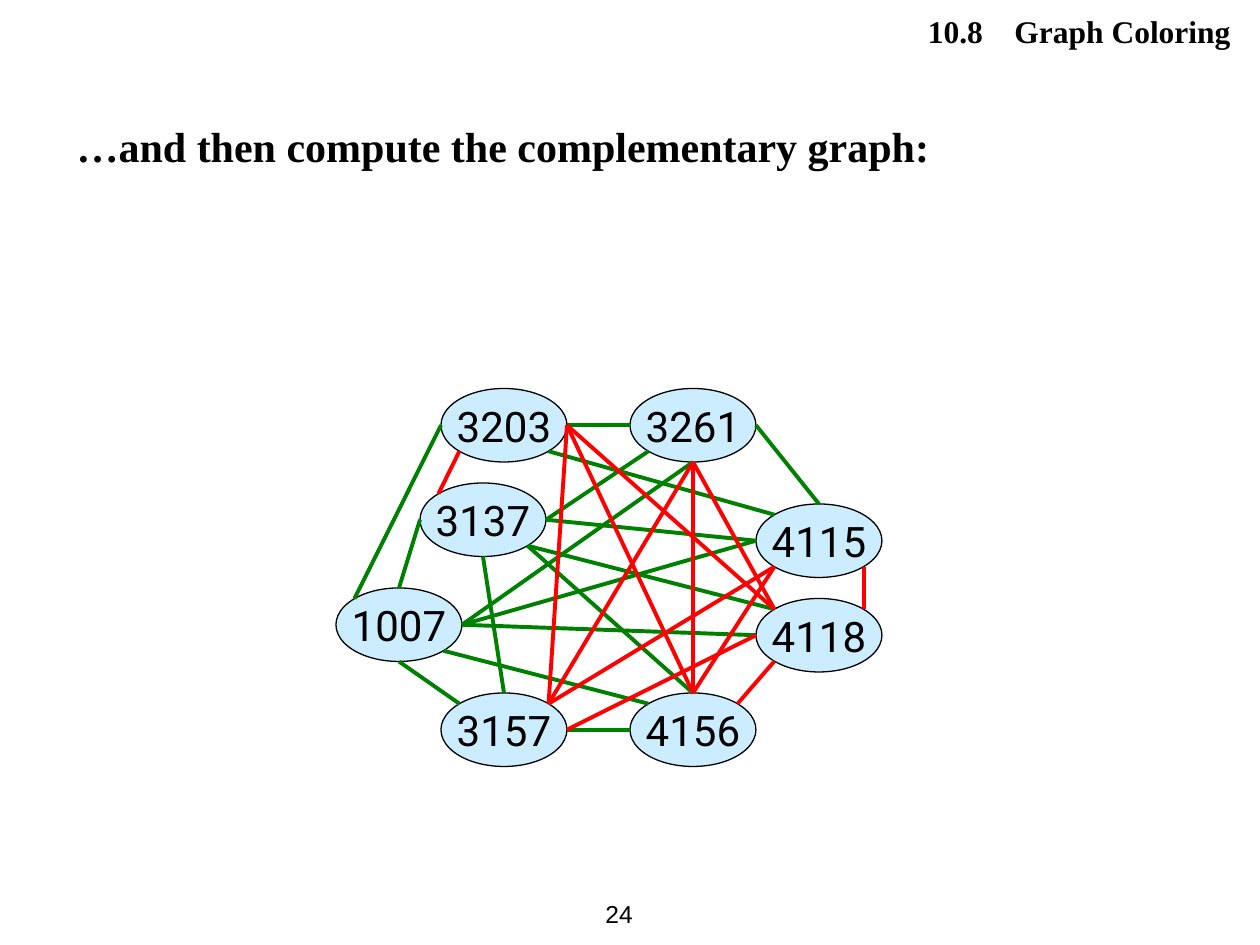
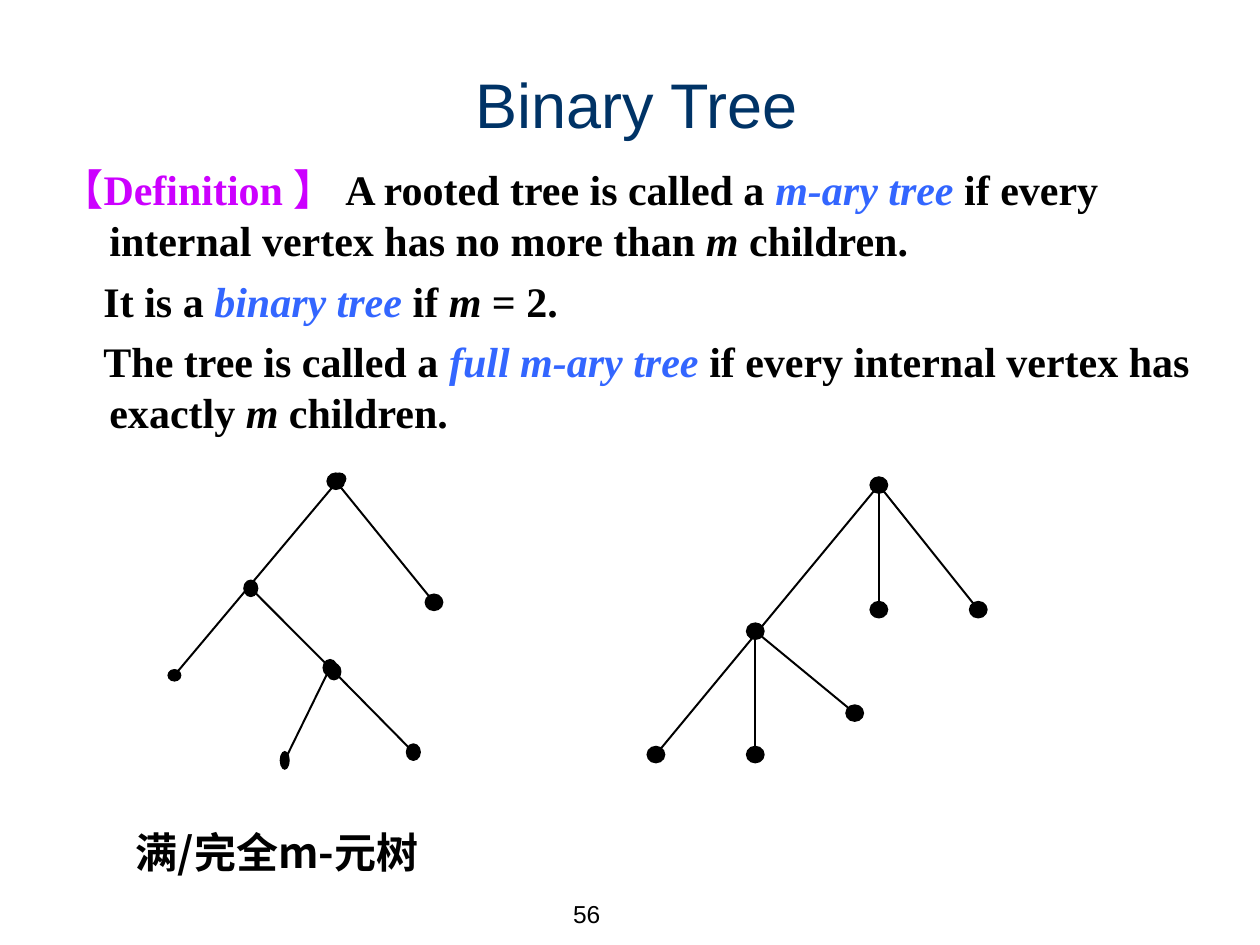
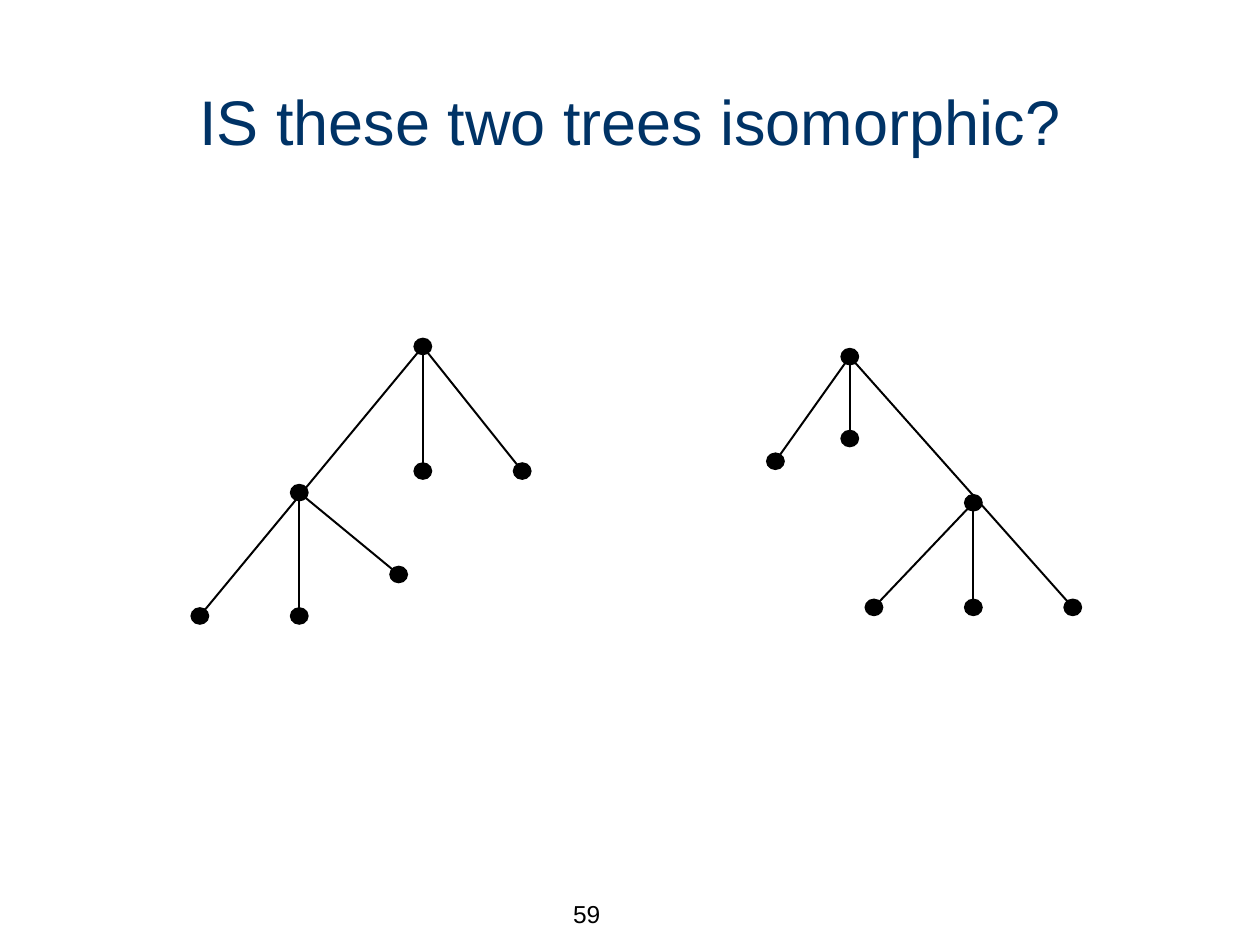
from typing import NamedTuple

from lxml.etree import SubElement
from pptx import Presentation
from pptx.dml.color import RGBColor
from pptx.enum.shapes import MSO_CONNECTOR, MSO_SHAPE
from pptx.enum.text import MSO_ANCHOR, PP_ALIGN
from pptx.oxml.ns import qn
from pptx.util import Pt

BLACK = "000000"
NAVY = "003366"
MAGENTA = "CC00FF"
BLUE = "3366FF"
PALE_BLUE = "CCECFF"
GREEN = "008000"
RED = "FF0000"

SANS = "Arial"
SERIF = "Times New Roman"
NODE_FONT = "Roboto"
CHINESE = "Noto Sans CJK SC"


class Area(NamedTuple):
    left: float
    top: float
    width: float
    height: float


class Style(NamedTuple):
    font: str
    size: float
    color: str = BLACK
    bold: bool = False
    italic: bool = False


class Span(NamedTuple):
    text: str
    style: Style


class Dot(NamedTuple):
    """A tree vertex, its centre measured from the root of the tree."""
    x: float
    y: float
    width: float = 10.8
    height: float = 10.08


class Tree(NamedTuple):
    dots: dict[str, Dot]
    edges: list[tuple[str, str]]


NUMBER = Style(SANS, 14)
TITLE = Style(SANS, 36, NAVY)
NODE = Style(NODE_FONT, 24)
SECTION = Style(SERIF, 18, bold=True)
BODY = Style(SERIF, 24, bold=True)
LABEL = BODY._replace(color=MAGENTA)
VARIABLE = BODY._replace(italic=True)
TERM = VARIABLE._replace(color=BLUE)
CHINESE_NOTE = Style(CHINESE, 24, bold=True)

NODE_WIDTH, NODE_HEIGHT = 72, 42
DIAGONAL = 0.5 ** 0.5
COMPASS = {
    "N": (0, -1), "S": (0, 1), "W": (-1, 0), "E": (1, 0),
    "NW": (-DIAGONAL, -DIAGONAL), "NE": (DIAGONAL, -DIAGONAL),
    "SW": (-DIAGONAL, DIAGONAL), "SE": (DIAGONAL, DIAGONAL),
}
COURSE_CENTRES = {
    "1007": (228, 357), "3137": (276, 297), "3157": (288, 417), "3203": (288, 243),
    "4115": (468, 309), "3261": (396, 243), "4156": (396, 417), "4118": (468, 363),
}
COURSE_EDGES = {
    GREEN: [
        "1007 N 3137 W", "3157 NW 1007 S", "1007 NW 3203 W", "1007 E 3261 S",
        "3137 E 3261 SW", "3203 E 3261 W", "3157 N 3137 S", "4156 W 3157 E",
        "4156 NW 1007 SE", "4156 N 3137 SE", "3261 E 4115 N", "3203 SE 4115 NW",
        "3137 E 4115 W", "1007 E 4115 W", "3137 SE 4118 NW", "1007 E 4118 W",
    ],
    RED: [
        "3137 NW 3203 SW", "3157 NE 3203 E", "4156 N 3203 E", "4118 W 3157 E",
        "4115 SW 3157 NE", "3261 S 3157 NE", "4118 SW 4156 NE", "4118 NW 3261 S",
        "4118 NW 3203 E", "4118 NE 4115 SE", "3261 S 4156 N", "4156 N 4115 SW",
    ],
}

TERNARY_TREE = Tree(
    {
        "root": Dot(0, 0), "middle": Dot(0, 71.2), "right": Dot(56.8, 71.2),
        "inner": Dot(-70.6, 83.5), "inner left": Dot(-127.4, 154),
        "inner middle": Dot(-70.6, 154), "inner right": Dot(-13.8, 130.3),
    },
    [("root", "inner left"), ("root", "middle"), ("root", "right"),
     ("inner", "inner middle"), ("inner", "inner right")],
)
MIRRORED_TREE = Tree(
    {
        "root": Dot(0, 0), "left": Dot(-42.5, 59.8), "middle": Dot(0, 46.8),
        "inner": Dot(70.6, 83.5), "inner left": Dot(13.8, 143.3),
        "inner middle": Dot(70.6, 143.3), "inner right": Dot(127.4, 143.3),
    },
    [("root", "left"), ("root", "middle"), ("root", "inner right"),
     ("inner", "inner left"), ("inner", "inner middle")],
)
BINARY_TREE = Tree(
    {
        "root": Dot(0, 0), "root twin": Dot(2.1, -1.4, 8, 7.2),
        "left": Dot(-92.2, 110.9, 8, 7.2), "right": Dot(56.1, 69.2),
        "inner": Dot(-48.6, 61.2, 8.64), "joint": Dot(-3.3, 106.6, 8.64),
        "joint twin": Dot(-1.1, 108.8, 8.64), "joint right": Dot(44.3, 154.8, 8.64),
        "joint left": Dot(-29.2, 159.5, 5.76, 10.8),
    },
    [("root twin", "left"), ("root", "right"), ("inner", "joint"),
     ("joint twin", "joint right"), ("joint", "joint left")],
)


def rgb(color: str) -> RGBColor:
    return RGBColor.from_string(color)


def add_span(para, span: Span) -> None:
    run = para.add_run()
    run.text = span.text
    style = span.style
    run.font.name = style.font
    run.font.size = Pt(style.size)
    run.font.bold = style.bold
    run.font.italic = style.italic
    run.font.color.rgb = rgb(style.color)
    if style.font == CHINESE:
        SubElement(run.font._element, qn("a:ea"), typeface=CHINESE)


def add_text(page, area: Area, *spans: Span, align=PP_ALIGN.LEFT, anchor=MSO_ANCHOR.TOP):
    """Add a wrapping text box whose first paragraph holds the spans."""
    box = page.shapes.add_textbox(*map(Pt, area))
    frame = box.text_frame
    frame.word_wrap = True
    frame.vertical_anchor = anchor
    para = frame.paragraphs[0]
    para.alignment = align
    for span in spans:
        add_span(para, span)
    return frame


def add_page(deck, number: int, align=PP_ALIGN.LEFT):
    page = deck.slides.add_slide(deck.slide_layouts[6])
    add_text(page, Area(320.4, 504, 48.24, 36), Span(str(number), NUMBER),
             align=align, anchor=MSO_ANCHOR.MIDDLE)
    return page


def add_title(page, text: str, left: float, top: float) -> None:
    add_text(page, Area(left, top, 648, 55.44), Span(text, TITLE), align=PP_ALIGN.CENTER)


def add_line(page, start: tuple[float, float], end: tuple[float, float],
             color: str, weight: float) -> None:
    line = page.shapes.add_connector(MSO_CONNECTOR.STRAIGHT, *map(Pt, (*start, *end)))
    line.line.color.rgb = rgb(color)
    line.line.width = Pt(weight)
    SubElement(line._element.spPr, qn("a:effectLst"))


def add_ellipse(page, centre: tuple[float, float], width: float, height: float, fill: str):
    x, y = centre
    ellipse = page.shapes.add_shape(
        MSO_SHAPE.OVAL, *map(Pt, (x - width / 2, y - height / 2, width, height)))
    ellipse.shadow.inherit = False
    ellipse.fill.solid()
    ellipse.fill.fore_color.rgb = rgb(fill)
    ellipse.line.fill.background()
    return ellipse


def add_course(page, course: str) -> None:
    ellipse = add_ellipse(page, COURSE_CENTRES[course], NODE_WIDTH, NODE_HEIGHT, PALE_BLUE)
    ellipse.line.color.rgb = rgb(BLACK)
    ellipse.line.width = Pt(0.75)
    frame = ellipse.text_frame
    frame.word_wrap = False
    frame.vertical_anchor = MSO_ANCHOR.MIDDLE
    para = frame.paragraphs[0]
    para.alignment = PP_ALIGN.CENTER
    add_span(para, Span(course, NODE))


def rim_point(course: str, direction: str) -> tuple[float, float]:
    x, y = COURSE_CENTRES[course]
    across, down = COMPASS[direction]
    return x + across * NODE_WIDTH / 2, y + down * NODE_HEIGHT / 2


def add_tree(page, tree: Tree, root_x: float, root_y: float) -> None:
    centres = {name: (root_x + dot.x, root_y + dot.y) for name, dot in tree.dots.items()}
    for parent, child in tree.edges:
        add_line(page, centres[parent], centres[child], BLACK, 1.13)
    for name, dot in tree.dots.items():
        add_ellipse(page, centres[name], dot.width, dot.height, BLACK)


def build_coloring_page(deck) -> None:
    page = add_page(deck, 24, PP_ALIGN.RIGHT)
    add_text(page, Area(36.72, 65.52, 652.32, 36),
             Span("…and then compute the complementary graph:", BODY))
    for course in COURSE_CENTRES:
        add_course(page, course)
    for color, edges in COURSE_EDGES.items():
        for edge in edges:
            course, leaving, other, arriving = edge.split()
            add_line(page, rim_point(course, leaving), rim_point(other, arriving), color, 2.25)

    section = add_text(page, Area(286.56, 3.6, 427.68, 28.8))
    section.margin_left = Pt(243.7)
    para = section.paragraphs[0]
    tabs = SubElement(para._p.get_or_add_pPr(), qn("a:tabLst"))
    SubElement(tabs, qn("a:tab"), pos=str(Pt(49.5)), algn="l")
    add_span(para, Span("10.8\tGraph Coloring", SECTION))


def build_definition_page(deck) -> None:
    page = add_page(deck, 56)
    add_title(page, "Binary Tree", 39.6, 33.84)
    hanging, shallow = -27.36, -3.36
    statements = [
        (hanging, [Span("【Definition 】 ", LABEL), Span("A rooted tree is called a ", BODY),
                   Span("m-ary tree ", TERM),
                   Span("if every internal vertex has no more than ", BODY),
                   Span("m", VARIABLE), Span(" children.", BODY)]),
        (shallow, [Span("It is a ", BODY), Span("binary tree ", TERM), Span("if ", BODY),
                   Span("m", VARIABLE), Span(" = 2.", BODY)]),
        (shallow, [Span("The tree is called a ", BODY), Span("full m-ary tree ", TERM),
                   Span("if every internal vertex has exactly ", BODY),
                   Span("m", VARIABLE), Span(" children.", BODY)]),
    ]
    frame = add_text(page, Area(28.08, 90, 666.72, 164.16))
    for index, (indent, spans) in enumerate(statements):
        para = frame.add_paragraph() if index else frame.paragraphs[0]
        if index:
            para.space_before = Pt(6)
        properties = para._p.get_or_add_pPr()
        properties.set("marL", str(Pt(27.36)))
        properties.set("indent", str(Pt(indent)))
        for span in spans:
            add_span(para, span)
    add_tree(page, TERNARY_TREE, 502.2, 277.2)
    add_tree(page, BINARY_TREE, 191.9, 275)
    add_text(page, Area(70.56, 468.72, 187.2, 64.8), Span("满/完全m-元树", CHINESE_NOTE))


def build_isomorphism_page(deck) -> None:
    page = add_page(deck, 59)
    add_title(page, "IS these two trees isomorphic?", 36, 43.92)
    add_tree(page, TERNARY_TREE, 241.6, 198)
    add_tree(page, MIRRORED_TREE, 485.6, 203.8)


def main() -> None:
    deck = Presentation()
    deck.slide_width, deck.slide_height = Pt(720), Pt(540)
    build_coloring_page(deck)
    build_definition_page(deck)
    build_isomorphism_page(deck)
    deck.save("out.pptx")


if __name__ == "__main__":
    main()
